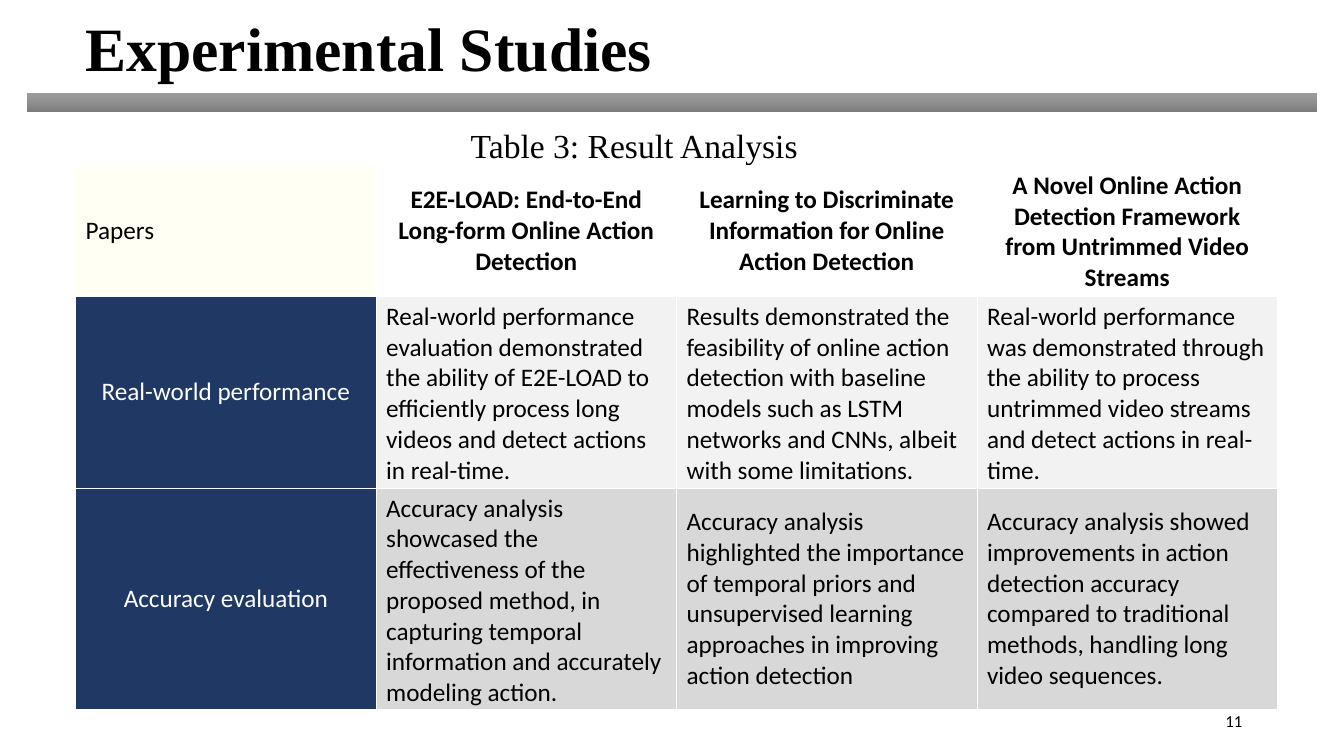
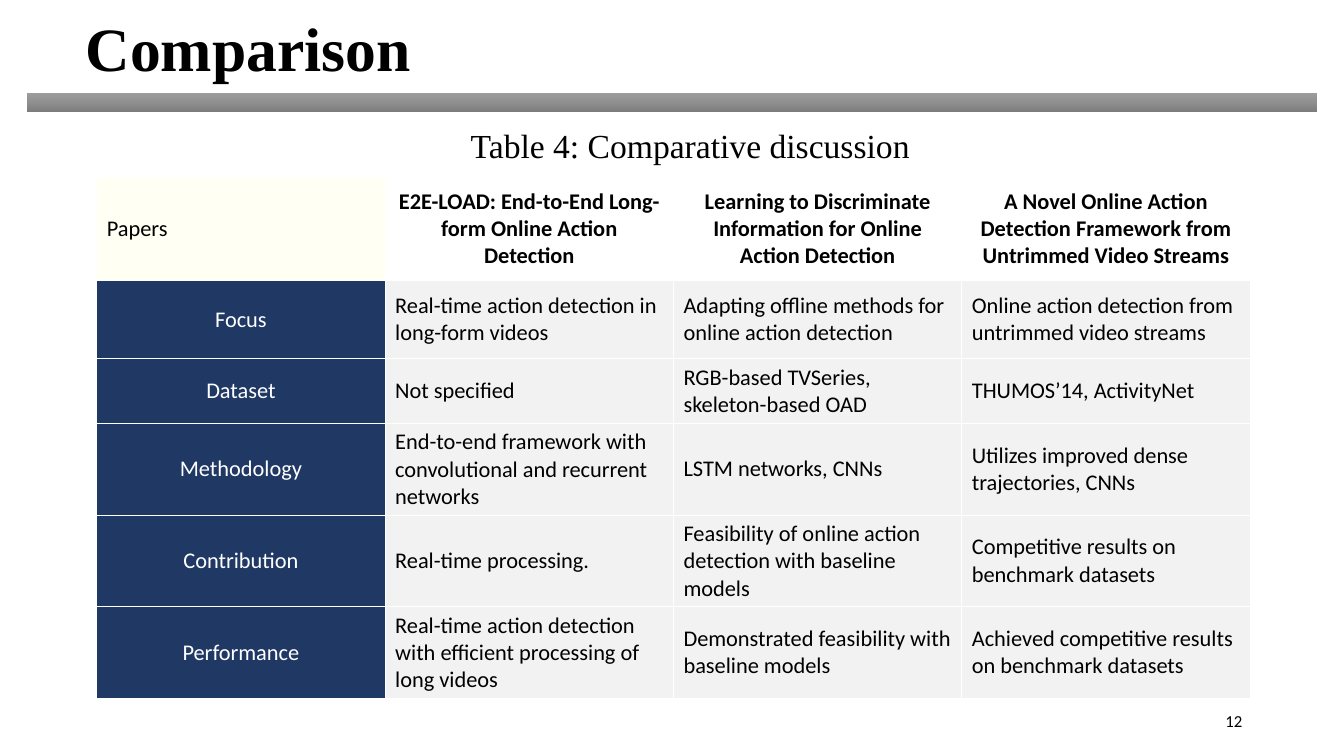
from copy import deepcopy
from dataclasses import dataclass

from lxml.etree import SubElement
from pptx import Presentation
from pptx.dml.color import RGBColor
from pptx.enum.shapes import MSO_SHAPE
from pptx.enum.text import MSO_ANCHOR, PP_ALIGN
from pptx.oxml.ns import qn
from pptx.slide import Slide
from pptx.table import _Cell
from pptx.text.text import TextFrame
from pptx.util import Emu, Pt

PX = 9144
BLACK = RGBColor(0x00, 0x00, 0x00)
WHITE = RGBColor(0xFF, 0xFF, 0xFF)
NAVY = RGBColor(0x1F, 0x38, 0x64)
CREAM = RGBColor(0xFF, 0xFF, 0xF4)
PALE = RGBColor(0xF2, 0xF2, 0xF2)
GREY = RGBColor(0xD8, 0xD8, 0xD8)
BAND_TOP = RGBColor(0x9D, 0x9D, 0x9D)
BAND_MIDDLE = RGBColor(0x90, 0x90, 0x90)
BAND_BOTTOM = RGBColor(0x7C, 0x7C, 0x7C)
SERIF = "Times New Roman"
SANS = "Calibri"
PAPERS = (
    "E2E-LOAD: End-to-End Long-form Online Action Detection",
    "Learning to Discriminate Information for Online Action Detection",
    "A Novel Online Action Detection Framework from Untrimmed Video Streams",
)


@dataclass(frozen=True)
class Aspect:
    """One body row of a table of papers."""
    label: str
    findings: tuple[str, str, str]
    height: int
    fill: RGBColor = PALE


@dataclass(frozen=True)
class TablePage:
    """A slide with a titled table of papers."""
    title: str
    caption: str
    number: int
    left: int
    top: int
    column_width: int
    header_height: int
    text_size: int
    aspects: tuple[Aspect, ...]


PAGES = (
    TablePage(
        "Experimental Studies", "Table 3: Result Analysis", 11,
        left=75, top=164, column_width=298, header_height=127, text_size=18,
        aspects=(
            Aspect("Real-world performance", (
                "Real-world performance evaluation demonstrated the ability of E2E-LOAD "
                "to efficiently process long videos and detect actions in real-time.",
                "Results demonstrated the feasibility of online action detection with "
                "baseline models such as LSTM networks and CNNs, albeit with some limitations.",
                "Real-world performance was demonstrated through the ability to process "
                "untrimmed video streams and detect actions in real-time.",
            ), 185),
            Aspect("Accuracy evaluation", (
                "Accuracy analysis showcased the effectiveness of the proposed method, in "
                "capturing temporal information and accurately modeling action.",
                "Accuracy analysis highlighted the importance of temporal priors and "
                "unsupervised learning approaches in improving action detection",
                "Accuracy analysis showed improvements in action detection accuracy "
                "compared to traditional methods, handling long video sequences.",
            ), 215, GREY),
        ),
    ),
    TablePage(
        "Comparison", "Table 4: Comparative discussion", 12,
        left=96, top=176, column_width=286, header_height=102, text_size=16,
        aspects=(
            Aspect("Focus", (
                "Real-time action detection in long-form videos",
                "Adapting offline methods for online action detection",
                "Online action detection from untrimmed video streams",
            ), 78),
            Aspect("Dataset", (
                "Not specified",
                "RGB-based TVSeries, skeleton-based OAD",
                "THUMOS’14, ActivityNet",
            ), 64),
            Aspect("Methodology", (
                "End-to-end framework with convolutional and recurrent networks",
                "LSTM networks, CNNs",
                "Utilizes improved dense trajectories, CNNs",
            ), 91),
            Aspect("Contribution", (
                "Real-time processing.",
                "Feasibility of online action detection with baseline models",
                "Competitive results on benchmark datasets",
            ), 91),
            Aspect("Performance", (
                "Real-time action detection with efficient processing of long videos",
                "Demonstrated feasibility with baseline models",
                "Achieved competitive results on benchmark datasets",
            ), 91),
        ),
    ),
)


def px(*lengths: int) -> tuple[Emu, ...]:
    """Turn lengths in px into EMU."""
    return tuple(Emu(length * PX) for length in lengths)


def write(frame: TextFrame, text: str, *, size: int, font: str = SANS,
          color: RGBColor = BLACK, bold: bool = False,
          align: PP_ALIGN = PP_ALIGN.LEFT, spacing: float = 1.0) -> None:
    """Put one formatted paragraph into a text frame."""
    paragraph = frame.paragraphs[0]
    paragraph.alignment = align
    paragraph.line_spacing = spacing
    run = paragraph.add_run()
    run.text = text
    run.font.size = Pt(size)
    run.font.name = font
    run.font.bold = bold
    run.font.color.rgb = color


def text_area(slide: Slide, *box: int, anchor: MSO_ANCHOR = MSO_ANCHOR.TOP) -> TextFrame:
    """Add a wrapping text box and return its frame."""
    frame = slide.shapes.add_textbox(*px(*box)).text_frame
    frame.word_wrap = True
    frame.vertical_anchor = anchor
    return frame


def draw_band(slide: Slide) -> None:
    """Draw the grey gradient band below the title."""
    band = slide.shapes.add_shape(MSO_SHAPE.RECTANGLE, *px(26, 92, 1281, 19))
    band.shadow.inherit = False
    band.line.color.rgb = WHITE
    band.line.width = Pt(0.5)
    band.fill.gradient()
    band.fill.gradient_angle = 270
    stop_list = next(band.element.iter(qn("a:gsLst")))
    stop_list.insert(1, deepcopy(stop_list[0]))
    shades = ((0, BAND_TOP), (0.5, BAND_MIDDLE), (1, BAND_BOTTOM))
    for stop, (position, shade) in zip(band.fill.gradient_stops, shades):
        stop.position = position
        stop.color.rgb = shade


def draw_borders(cell: _Cell) -> None:
    """Give a cell thin white borders."""
    properties = cell._tc.get_or_add_tcPr()
    for index, side in enumerate("LRTB"):
        border = SubElement(properties, qn(f"a:ln{side}"), w=str(Pt(0.75)))
        solid = SubElement(border, qn("a:solidFill"))
        SubElement(solid, qn("a:srgbClr"), val=str(WHITE))
        properties.insert(index, border)


def fill_cell(cell: _Cell, text: str, size: int, fill: RGBColor | None,
              color: RGBColor = BLACK, bold: bool = False,
              align: PP_ALIGN = PP_ALIGN.LEFT) -> None:
    """Fill one table cell with text, background and borders."""
    cell.vertical_anchor = MSO_ANCHOR.MIDDLE
    if fill is None:
        cell.fill.background()
    else:
        cell.fill.solid()
        cell.fill.fore_color.rgb = fill
    write(cell.text_frame, text, size=size, color=color, bold=bold, align=align)
    draw_borders(cell)


def draw_table(slide: Slide, page: TablePage) -> None:
    """Draw the header row and one row for each aspect."""
    heights = [page.header_height, *(aspect.height for aspect in page.aspects)]
    columns = len(PAPERS) + 1
    table = slide.shapes.add_table(
        len(heights), columns,
        *px(page.left, page.top, page.column_width * columns, sum(heights))).table
    table.first_row = table.horz_banding = False
    for column in table.columns:
        column.width = Emu(page.column_width * PX)
    for row, height in zip(table.rows, heights):
        row.height = Emu(height * PX)

    size = page.text_size
    fill_cell(table.cell(0, 0), "Papers", size, CREAM)
    for column, paper in enumerate(PAPERS, 1):
        fill_cell(table.cell(0, column), paper, size, None, bold=True, align=PP_ALIGN.CENTER)
    for row, aspect in enumerate(page.aspects, 1):
        fill_cell(table.cell(row, 0), aspect.label, size, NAVY, WHITE, align=PP_ALIGN.CENTER)
        for column, finding in enumerate(aspect.findings, 1):
            fill_cell(table.cell(row, column), finding, size, aspect.fill)


def draw_page(slide: Slide, page: TablePage) -> None:
    """Draw a whole slide."""
    write(text_area(slide, 942, 695, 300, 40, anchor=MSO_ANCHOR.MIDDLE),
          str(page.number), size=12, align=PP_ALIGN.RIGHT)
    write(text_area(slide, 75, 13, 699, 84), page.title,
          size=44, font=SERIF, bold=True, spacing=0.9)
    draw_band(slide)
    write(text_area(slide, 457, 119, 485, 50), page.caption, size=24, font=SERIF)
    draw_table(slide, page)


def main() -> None:
    """Build and save the presentation."""
    presentation = Presentation()
    presentation.slide_width, presentation.slide_height = px(1333, 750)
    blank = presentation.slide_layouts[6]
    for page in PAGES:
        draw_page(presentation.slides.add_slide(blank), page)
    presentation.save("out.pptx")


if __name__ == "__main__":
    main()
